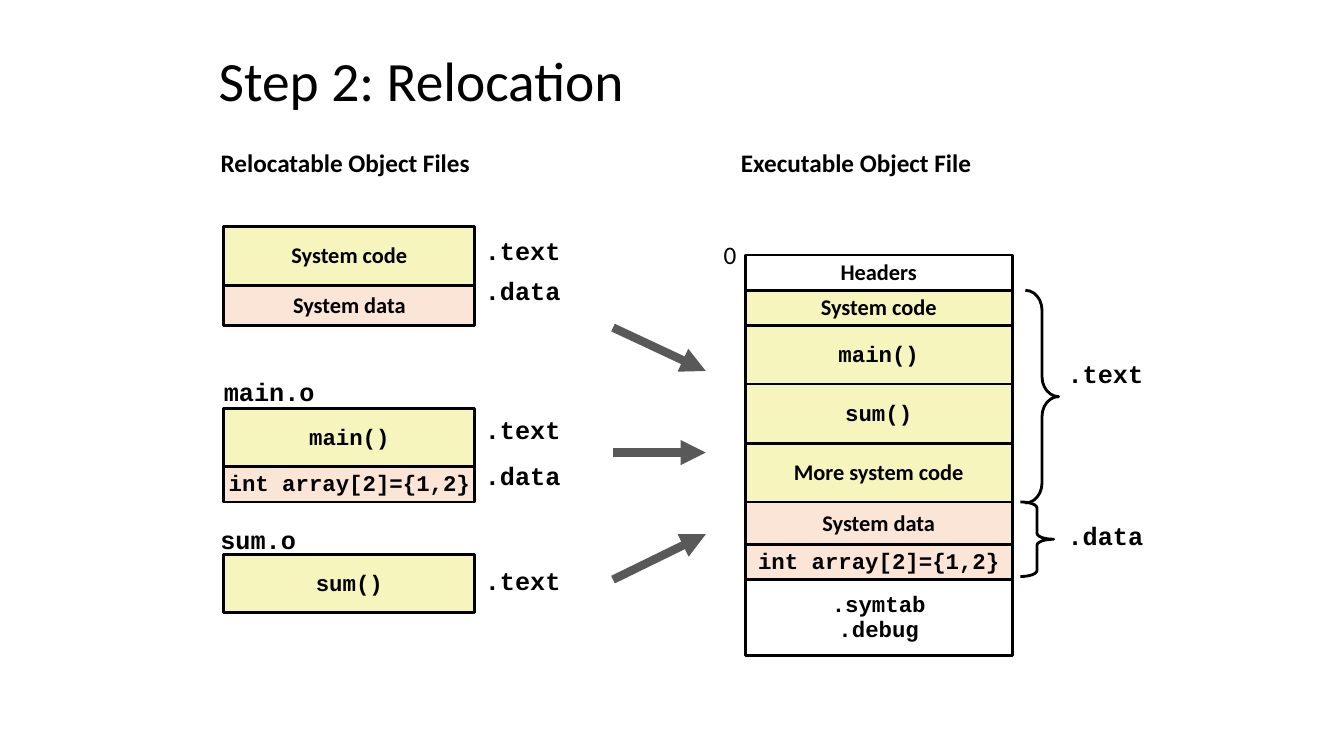
from lxml import etree
from pptx import Presentation
from pptx.dml.color import RGBColor
from pptx.enum.shapes import MSO_CONNECTOR, MSO_SHAPE
from pptx.enum.text import MSO_ANCHOR, MSO_AUTO_SIZE, PP_ALIGN
from pptx.oxml.ns import qn
from pptx.util import Inches, Pt

RECT, BRACE = MSO_SHAPE.RECTANGLE, MSO_SHAPE.RIGHT_BRACE
STRAIGHT = MSO_CONNECTOR.STRAIGHT
LEFT, CENTER = PP_ALIGN.LEFT, PP_ALIGN.CENTER
TOP, MIDDLE = MSO_ANCHOR.TOP, MSO_ANCHOR.MIDDLE
FIT_SHAPE = MSO_AUTO_SIZE.SHAPE_TO_FIT_TEXT

PROSE, CODE = "Calibri", "Courier New"
SPACING = {PROSE: 0.98, CODE: 0.94}
BLACK, WHITE, GRAY = "000000", "FFFFFF", "595959"
YELLOW, PEACH = "F6F5BD", "FBE5D6"

TITLE = "Step 2: Relocation"

# Each stack: left, top, width, sections (text, font, fill, height)
STACKS = [
    (2.22, 2.25, 2.49, [("System code", PROSE, YELLOW, 0.58),
                        ("System data", PROSE, PEACH, 0.4)]),
    (2.22, 4.05, 2.49, [("main()", CODE, YELLOW, 0.58),
                        ("int array[2]={1,2}", CODE, PEACH, 0.35)]),
    (2.22, 5.5, 2.49, [("sum()", CODE, YELLOW, 0.58)]),
    (7.39, 2.53, 2.65, [("Headers", PROSE, WHITE, 0.35),
                        ("System code", PROSE, YELLOW, 0.35),
                        ("main()", CODE, YELLOW, 0.58),
                        ("sum()", CODE, YELLOW, 0.59),
                        ("More system code", PROSE, YELLOW, 0.58),
                        ("System data", PROSE, PEACH, 0.42),
                        ("int array[2]={1,2}", CODE, PEACH, 0.35),
                        (".symtab\n.debug", CODE, WHITE, 0.75)]),
]

# Headings: text, left, top, width
HEADINGS = [("Relocatable Object Files", 2.09, 1.43, 2.69),
            ("Executable Object File", 7.25, 1.43, 2.5)]
FILE_NAMES = [("main.o", 2.12, 3.71, 1.1), ("sum.o", 2.08, 5.18, 0.96)]

# Section labels by column: left edge, then (text, top)
SECTION_LABELS = [
    (4.71, [(".text", 2.31), (".data", 2.71), (".text", 4.09),
            (".data", 4.54), (".text", 5.58)]),
    (10.49, [(".text", 3.53), (".data", 5.14)]),
]

# Braces: left, top, height, curl
BRACES = [(10.17, 2.88, 2.11, 0.6), (10.12, 4.98, 0.74, 0.18)]
BRACE_WIDTH = 0.33

# Arrows: start and end heights
ARROWS = [(3.25, 3.68), (4.49, 4.49), (5.75, 5.3)]
ARROW_START, ARROW_END = 6.08, 7


def rgb(color):
    """Turn a hex string into a colour."""
    return RGBColor.from_string(color)


def write(shape, text, font=PROSE, size=18, bold=True, align=LEFT,
          anchor=TOP, spacing=None, wrap=False):
    """Fill a shape with formatted text, one paragraph a line."""
    frame = shape.text_frame
    frame.word_wrap = wrap
    frame.vertical_anchor = anchor
    frame.text = text
    for paragraph in frame.paragraphs:
        paragraph.alignment = align
        paragraph.line_spacing = spacing or SPACING[font]
        style = paragraph.runs[0].font
        style.name, style.size, style.bold = font, Pt(size), bold
        style.color.rgb = rgb(BLACK)


def add_label(slide, text, left, top, width, height=0.39, **text_format):
    """Add a text box and return it."""
    label = slide.shapes.add_textbox(
        Inches(left), Inches(top), Inches(width), Inches(height))
    write(label, text, **text_format)
    return label


def add_outlined(slide, kind, left, top, width, height, fill=None):
    """Add a black-outlined preset shape, unfilled unless a fill is given."""
    shape = slide.shapes.add_shape(
        kind, Inches(left), Inches(top), Inches(width), Inches(height))
    shape.shadow.inherit = False
    shape.line.color.rgb = rgb(BLACK)
    shape.line.width = Pt(2)
    if fill:
        shape.fill.solid()
        shape.fill.fore_color.rgb = rgb(fill)
    else:
        shape.fill.background()
    return shape


def add_stack(slide, left, top, width, sections):
    """Pile the sections of an object file downwards from its top."""
    for text, font, fill, height in sections:
        section = add_outlined(slide, RECT, left, top, width, height, fill)
        write(section, text, font=font, size=16, align=CENTER, anchor=MIDDLE)
        top += height


def add_arrow(slide, start_y, end_y):
    """Add a thick arrow from the relocatable files to the executable."""
    arrow = slide.shapes.add_connector(
        STRAIGHT, Inches(ARROW_START), Inches(start_y),
        Inches(ARROW_END), Inches(end_y))
    arrow.line.color.rgb = rgb(GRAY)
    arrow.line.width = Pt(6)
    properties = arrow.line._get_or_add_ln()
    etree.SubElement(properties, qn("a:tailEnd"), type="triangle")
    etree.SubElement(arrow._element.spPr, qn("a:effectLst"))


def main():
    """Build and save the slide."""
    deck = Presentation()
    deck.slide_width, deck.slide_height = Inches(13.33), Inches(7.5)
    slide = deck.slides.add_slide(deck.slide_layouts[6])

    add_label(slide, TITLE, 2.07, 0.51, 8.31, 0.63, size=39.6, bold=False,
              anchor=MIDDLE, spacing=0.9, wrap=True)
    for stack in STACKS:
        add_stack(slide, *stack)

    labels = [add_label(slide, *heading) for heading in HEADINGS]
    labels += [add_label(slide, *name, font=CODE, align=CENTER)
               for name in FILE_NAMES]
    labels += [add_label(slide, text, left, top, 0.95, font=CODE)
               for left, column in SECTION_LABELS for text, top in column]
    labels.append(add_label(slide, "0", 7.08, 2.34, 0.34, bold=False))
    for label in labels:
        label.text_frame.auto_size = FIT_SHAPE

    for left, top, height, curl in BRACES:
        brace = add_outlined(slide, BRACE, left, top, BRACE_WIDTH, height)
        brace.adjustments[0] = curl
    for start_y, end_y in ARROWS:
        add_arrow(slide, start_y, end_y)

    deck.save("out.pptx")


main()
